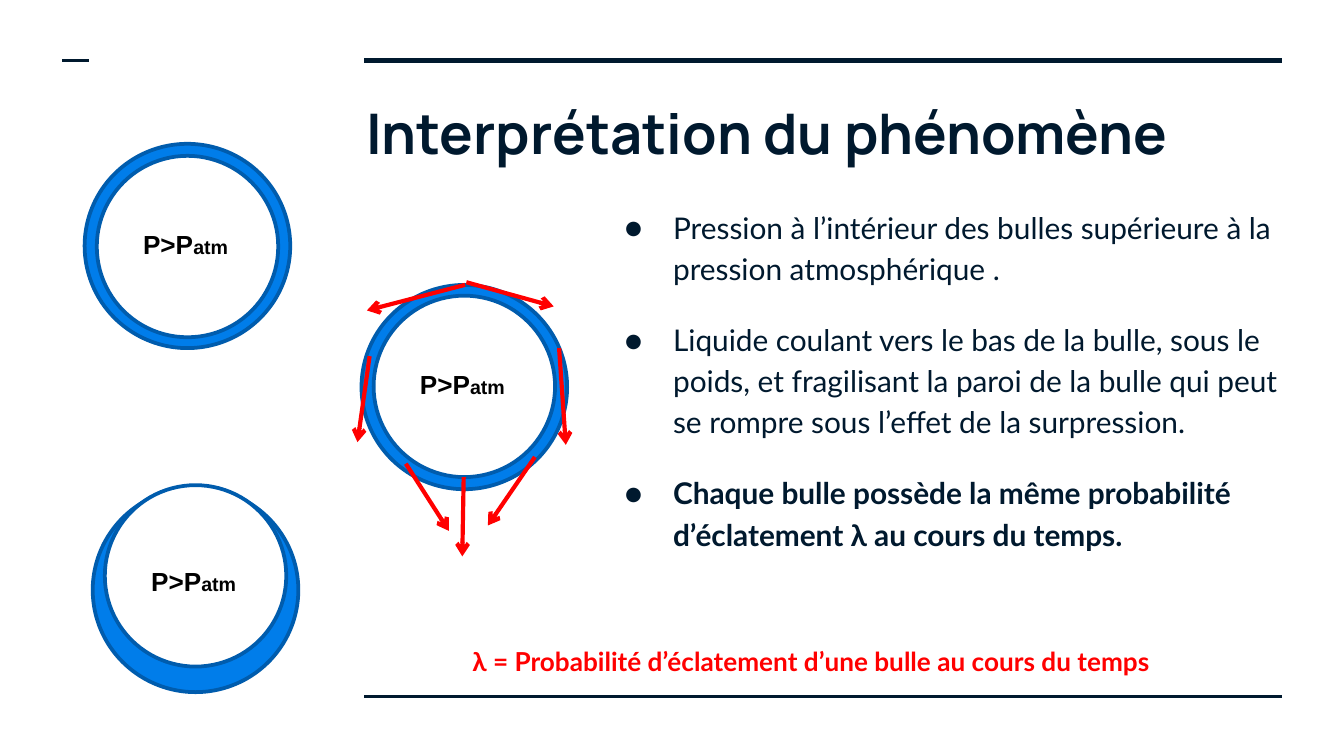
from dataclasses import dataclass
from lxml.etree import SubElement as Sub
from pptx import Presentation
from pptx.dml.color import RGBColor as Rgb
from pptx.enum.shapes import MSO_CONNECTOR as Link, MSO_SHAPE as Form
from pptx.enum.text import MSO_ANCHOR as Anchor, MSO_AUTO_SIZE as Fit, PP_ALIGN as Align
from pptx.oxml.ns import qn
from pptx.util import Inches, Pt


@dataclass(frozen=True)
class Theme:
    ink: str = "00192E"
    red: str = "FF0000"
    black: str = "000000"
    white: str = "FFFFFF"
    blue: str = "007DEA"
    edge: str = "005CAD"
    head: str = "Manrope"
    text: str = "Lato"
    mark: str = "Arial"
    title: float = 30
    body: float = 16
    note: float = 14
    sub: float = 10.5


class Board:
    """Draws styled parts on a slide, on a grid of 100 square columns."""

    def __init__(self, deck, theme):
        self.theme = theme
        self.cell = deck.slide_width / 100
        self.slide = deck.slides.add_slide(deck.slide_layouts[5])
        self.shapes = self.slide.shapes

    def grid(self, *cells):
        return [round(n * self.cell) for n in cells]

    def font(self, part, face, size, color, bold=False):
        font = part.font
        font.name, font.size, font.bold = face, Pt(size), bold
        font.color.rgb = Rgb.from_string(color)

    def title(self, text, *area):
        box = self.shapes.title
        box.left, box.top, box.width, box.height = self.grid(*area)
        frame = box.text_frame
        frame.text = text
        frame.word_wrap, frame.auto_size = True, Fit.NONE
        frame.vertical_anchor = Anchor.MIDDLE
        frame.margin_top = frame.margin_bottom = Inches(0.1)
        para = frame.paragraphs[0]
        para.alignment = Align.LEFT
        self.font(para, self.theme.head, self.theme.title, self.theme.ink, True)

    def frame(self, *area):
        frame = self.shapes.add_textbox(*self.grid(*area)).text_frame
        frame.word_wrap = True
        return frame

    def list(self, items, *area):
        theme = self.theme
        frame = self.frame(*area)
        frame.margin_top = frame.margin_bottom = Inches(0.1)
        for i, (text, bold) in enumerate(items):
            para = frame.add_paragraph() if i else frame.paragraphs[0]
            para.text = text
            props = para._p.get_or_add_pPr()
            props.set("marL", str(Inches(0.5)))
            props.set("indent", str(Inches(-0.36)))
            tint = Sub(props, qn("a:buClr"))
            Sub(tint, qn("a:srgbClr"), val=theme.ink)
            Sub(props, qn("a:buSzPts"), val=str(theme.body * 100))
            Sub(props, qn("a:buFont"), typeface=theme.text)
            Sub(props, qn("a:buChar"), char="●")
            para.line_spacing = 1.15
            para.space_before = Pt(16 if i else 0)
            self.font(para, theme.text, theme.body, theme.ink, bold)

    def label(self, runs, face, color, *area):
        frame = self.frame(*area)
        frame.auto_size = Fit.SHAPE_TO_FIT_TEXT
        para = frame.paragraphs[0]
        para.alignment = Align.CENTER
        self.font(para, face, runs[0][1], color, True)
        for text, size in runs:
            run = para.add_run()
            run.text, run.font.size = text, Pt(size)

    def disc(self, fill, *area):
        disc = self.shapes.add_shape(Form.OVAL, *self.grid(*area))
        disc.shadow.inherit = False
        disc.fill.solid()
        disc.fill.fore_color.rgb = Rgb.from_string(fill)
        disc.line.color.rgb = Rgb.from_string(self.theme.edge)
        disc.line.width = Pt(2)

    def bubble(self, left, top, drop, low):
        theme = self.theme
        self.disc(theme.blue, left, top, 15.3, 15.2)
        self.disc(theme.white, left + 0.9, top + drop, 13.5, 13.5)
        runs = [("P>P", theme.note), ("atm", theme.sub)]
        self.label(runs, theme.mark, theme.black, left + 2.75, top + low, 9.5, 3.4)

    def line(self, ends, color, width, tip=False):
        line = self.shapes.add_connector(Link.STRAIGHT, *self.grid(*ends))
        line.line.color.rgb = Rgb.from_string(color)
        line.line.width = Pt(width)
        props = line._element.spPr
        if tip:
            Sub(props.find(qn("a:ln")), qn("a:tailEnd"), type="arrow")
        Sub(props, qn("a:effectLst"))


RULES = [((27.1, 4.5, 95.4, 4.5), 3), ((27.1, 51.8, 95.4, 51.8), 1.5),
         ((4.65, 4.5, 6.65, 4.5), 1.5)]
BUBBLES = [(6.3, 10.7, 0.9, 5.8), (26.9, 21.2, 0.8, 5.7), (6.9, 36.3, -0.2, 5.3)]
FLOWS = [(34.6, 21.2, 27.3, 23.1), (27.5, 26.5, 26.6, 32.9),
         (41.6, 25.9, 42.1, 33.1), (39.8, 34, 36.3, 39.1),
         (30.2, 34.5, 33.4, 39.5), (34.5, 35.5, 34.4, 41.4),
         (34.7, 21, 41.2, 22.8)]
POINTS = [
    ("Pression à l’intérieur des bulles supérieure à la pression atmosphérique .", False),
    ("Liquide coulant vers le bas de la bulle, sous le poids, et fragilisant la paroi "
     "de la bulle qui peut se rompre sous l’effet de la surpression.", False),
    ("Chaque bulle possède la même probabilité d’éclatement λ au cours du temps.", True),
]
NOTE = "λ = Probabilité d’éclatement d’une bulle au cours du temps "


def main():
    deck = Presentation()
    deck.slide_width = Inches(10)
    deck.slide_height = deck.slide_width * 9 // 16
    theme = Theme()
    board = Board(deck, theme)
    for ends, width in RULES:
        board.line(ends, theme.ink, width)
    board.title("Interprétation du phénomène", 26.25, 6.35, 69.1, 6.9)
    board.list(POINTS, 44.1, 14.2, 52.9, 36.4)
    for spot in BUBBLES:
        board.bubble(*spot)
    for ends in FLOWS:
        board.line(ends, theme.red, 2.25, tip=True)
    board.label([(NOTE, theme.note)], theme.text, theme.red, 26.2, 47.55, 68.8, 3.4)
    deck.save("out.pptx")


if __name__ == "__main__":
    main()
